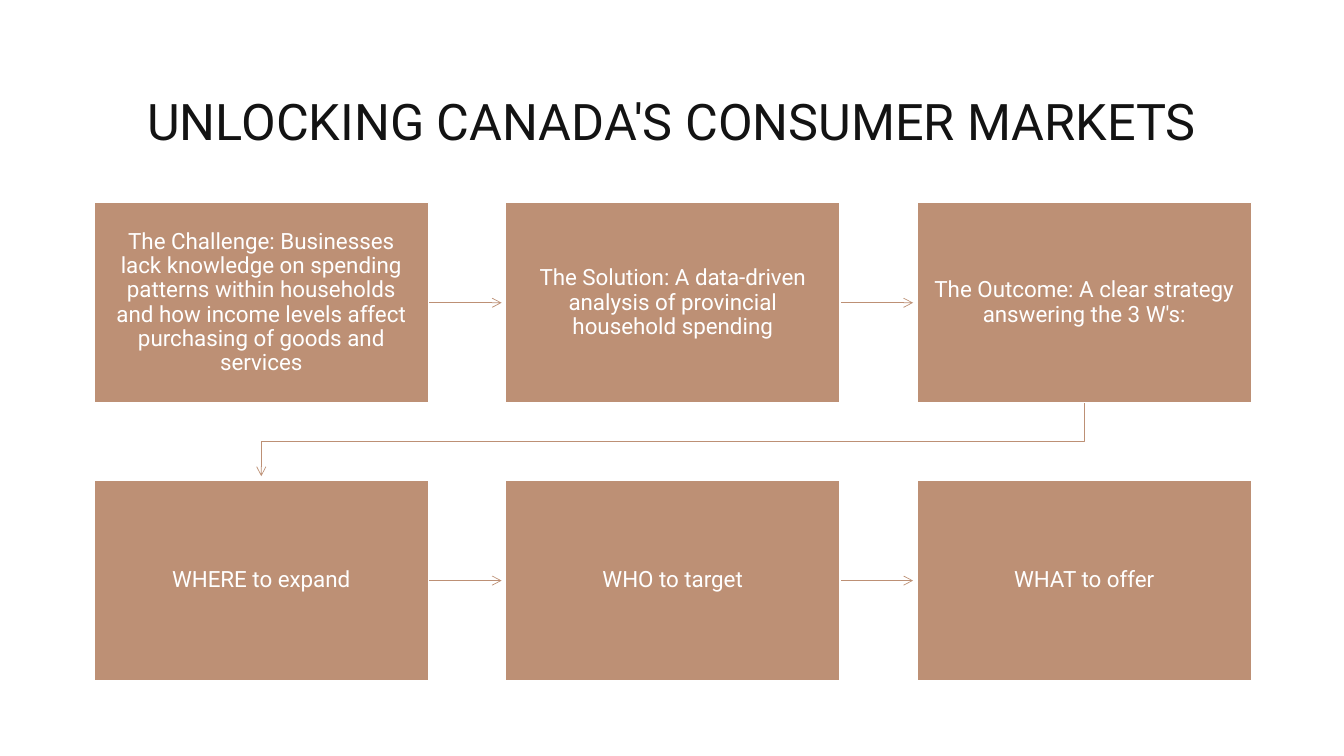
from dataclasses import dataclass

from lxml import etree
from pptx import Presentation
from pptx import util as u
from pptx.dml.color import RGBColor
from pptx.enum import shapes, text
from pptx.oxml.ns import qn


@dataclass(frozen=True)
class Theme:
    font: str = "Roboto"
    ink: str = "131313"
    accent: str = "BD9075"
    white: str = "FFFFFF"
    title_size: int = 36
    box_size: int = 16
    border: float = 1
    arrow: float = 0.5


class Deck:
    def __init__(self, theme, width, height):
        self.theme = theme
        self.prs = Presentation()
        self.prs.slide_width, self.prs.slide_height = u.Cm(width), u.Cm(height)
        self.s = self.prs.slides.add_slide(self.prs.slide_layouts[5])

    def set_text(self, tf, words, size, color):
        tf.text = words
        tf.word_wrap = True
        tf.auto_size = text.MSO_AUTO_SIZE.NONE
        tf.vertical_anchor = text.MSO_ANCHOR.MIDDLE
        p = tf.paragraphs[0]
        p.alignment = text.PP_ALIGN.CENTER
        p.line_spacing = 0.9
        for r in p.runs:
            r.font.name = self.theme.font
            r.font.size = u.Pt(size)
            r.font.color.rgb = RGBColor.from_string(color)

    def title(self, words, x, y, w, h):
        sp = self.s.shapes.title
        sp.left, sp.top, sp.width, sp.height = map(u.Cm, (x, y, w, h))
        self.set_text(sp.text_frame, words, self.theme.title_size, self.theme.ink)

    def box(self, words, x, y, w, h):
        sp = self.s.shapes.add_shape(
            shapes.MSO_SHAPE.RECTANGLE, *map(u.Cm, (x, y, w, h)))
        sp.shadow.inherit = False
        sp.fill.solid()
        sp.fill.fore_color.rgb = RGBColor.from_string(self.theme.accent)
        sp.line.color.rgb = RGBColor.from_string(self.theme.white)
        sp.line.width = u.Pt(self.theme.border)
        tf = sp.text_frame
        tf.margin_left = tf.margin_right = u.Cm(0.41)
        tf.margin_top = tf.margin_bottom = u.Cm(0.43)
        self.set_text(tf, words, self.theme.box_size, self.theme.white)

    def arrow_style(self, sp):
        sp.line.color.rgb = RGBColor.from_string(self.theme.accent)
        sp.line.width = u.Pt(self.theme.arrow)
        ln = sp._element.spPr.find(qn("a:ln"))
        etree.SubElement(ln, qn("a:tailEnd"), type="arrow")

    def arrow(self, x1, y1, x2, y2):
        sp = self.s.shapes.add_connector(
            shapes.MSO_CONNECTOR.STRAIGHT, *map(u.Cm, (x1, y1, x2, y2)))
        self.arrow_style(sp)
        etree.SubElement(sp._element.spPr, qn("a:effectLst"))

    def bent_arrow(self, points):
        start, *rest = [(u.Cm(x), u.Cm(y)) for x, y in points]
        builder = self.s.shapes.build_freeform(*start)
        builder.add_line_segments(rest, close=False)
        sp = builder.convert_to_shape()
        sp.shadow.inherit = False
        sp.fill.background()
        self.arrow_style(sp)


ROWS = [
    [
        "The Challenge: Businesses lack knowledge on spending patterns within "
        "households and how income levels affect purchasing of goods and services",
        "The Solution: A data-driven analysis of provincial household spending",
        "The Outcome: A clear strategy answering the 3 W's:",
    ],
    ["WHERE to expand", "WHO to target", "WHAT to offer"],
]
LEFT, TOP = 2.37, 5.1
BOX_W, BOX_H = 8.43, 5.06
STEP_X, STEP_Y = 10.37, 7
GAP_X, GAP_Y = STEP_X - BOX_W, STEP_Y - BOX_H
TIP = 0.1


def main():
    deck = Deck(Theme(), 33.87, 19.05)
    deck.title("UNLOCKING CANADA'S CONSUMER MARKETS", 2.33, 1.55, 29.21, 3.15)

    for row, labels in enumerate(ROWS):
        y = TOP + row * STEP_Y
        for col, label in enumerate(labels):
            x = LEFT + col * STEP_X
            if col < len(labels) - 1:
                edge, middle = x + BOX_W, y + BOX_H / 2
                deck.arrow(edge, middle, edge + GAP_X - TIP, middle)
            deck.box(label, x, y, BOX_W, BOX_H)

    first = LEFT + BOX_W / 2
    last = first + 2 * STEP_X
    bottom = TOP + BOX_H
    bend = bottom + GAP_Y / 2
    deck.bent_arrow([(last, bottom), (last, bend), (first, bend),
                     (first, bottom + GAP_Y - TIP)])

    deck.prs.save("out.pptx")


if __name__ == "__main__":
    main()
